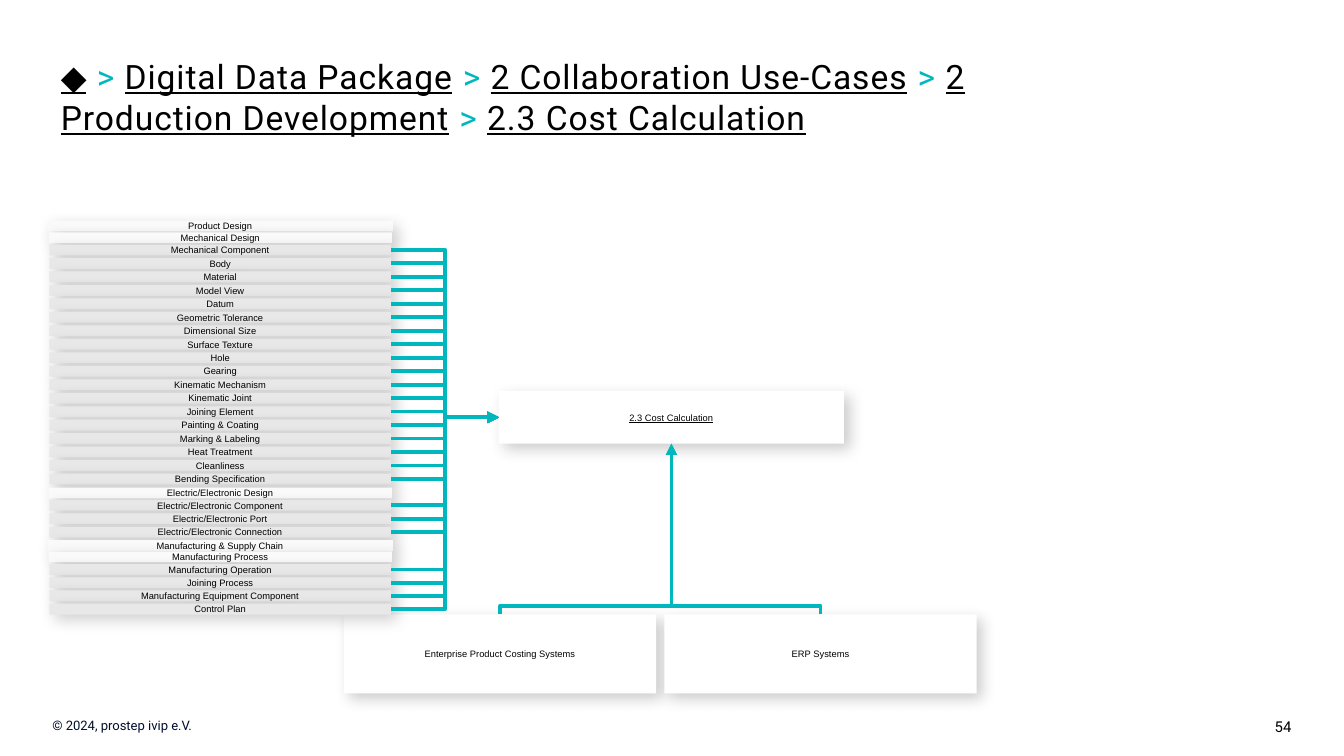
from dataclasses import dataclass

import pptx
import pptx.dml.color
import pptx.enum.shapes
import pptx.enum.text
import pptx.oxml
import pptx.oxml.ns
import pptx.util
from lxml import etree

Pt = pptx.util.Pt
RGBColor = pptx.dml.color.RGBColor
ALIGN = pptx.enum.text.PP_ALIGN
ANCHOR = pptx.enum.text.MSO_ANCHOR
qn = pptx.oxml.ns.qn

BLACK = RGBColor(0x00, 0x00, 0x00)
NAVY = RGBColor(0x00, 0x0F, 0x2D)
TEAL = RGBColor(0x00, 0xB7, 0xBE)
WHITE = RGBColor(0xFF, 0xFF, 0xFF)
HEADING_GREY = RGBColor(0xFA, 0xFA, 0xFA)
COMPONENT_GREY = RGBColor(0xE8, 0xE8, 0xE8)

LIST_CENTER = 118
ROW_HEIGHT = 5.8
DOMAIN_WIDTH, SECTION_WIDTH, COMPONENT_WIDTH = 185, 184, 183


@dataclass
class Box:
    text: str
    left: float
    top: float
    width: float
    height: float
    fill: RGBColor = WHITE
    anchor: ANCHOR = ANCHOR.MIDDLE
    underline: bool = False

    @property
    def center(self) -> float:
        return self.left + self.width / 2


@dataclass
class Heading:
    text: str
    top: float
    width: float


@dataclass
class Group:
    headings: list[Heading]
    components: list[str]
    top: float
    pitch: float = 7.22


GROUPS = [
    Group([Heading("Product Design", 118.2, DOMAIN_WIDTH),
           Heading("Mechanical Design", 124.5, SECTION_WIDTH)],
          ["Mechanical Component", "Body", "Material", "Model View", "Datum",
           "Geometric Tolerance", "Dimensional Size", "Surface Texture", "Hole",
           "Gearing", "Kinematic Mechanism", "Kinematic Joint", "Joining Element",
           "Painting & Coating", "Marking & Labeling", "Heat Treatment",
           "Cleanliness", "Bending Specification"], 131),
    Group([Heading("Electric/Electronic Design", 261.2, SECTION_WIDTH)],
          ["Electric/Electronic Component", "Electric/Electronic Port",
           "Electric/Electronic Connection"], 267.8),
    Group([Heading("Manufacturing & Supply Chain", 289.4, DOMAIN_WIDTH),
           Heading("Manufacturing Process", 295.4, SECTION_WIDTH)],
          ["Manufacturing Operation", "Joining Process",
           "Manufacturing Equipment Component", "Control Plan"], 302.2, 7.08),
]

USE_CASE = Box("2.3 Cost Calculation", 267.2, 209.5, 185, 28.2, underline=True)
SYSTEMS = [
    Box(text, 184.4 + 171.6 * index, 329.2, 167.2, 42.3)
    for index, text in enumerate(["Enterprise Product Costing Systems", "ERP Systems"])
]
BREADCRUMB = ["◆", "Digital Data Package", "2 Collaboration Use-Cases",
              "2 Production Development", "2.3 Cost Calculation"]


def add_text(paragraph, text: str, *, size: float, font: str = "Arial",
             color: RGBColor = BLACK, underline: bool = False,
             align: ALIGN = ALIGN.LEFT, spacing: int = 0) -> None:
    paragraph.alignment = align
    run = paragraph.add_run()
    run.text = text
    run.font.size = Pt(size)
    run.font.name = font
    run.font.color.rgb = color
    run.font.underline = underline
    if spacing:
        run.font._element.set("spc", str(spacing))


def set_margins(frame, left: float, top: float, right: float, bottom: float) -> None:
    frame.margin_left, frame.margin_top = Pt(left), Pt(top)
    frame.margin_right, frame.margin_bottom = Pt(right), Pt(bottom)


def add_shadow(shape) -> None:
    shape.shadow.inherit = False
    effects = shape._element.spPr.find(qn("a:effectLst"))
    shadow = etree.SubElement(
        effects, qn("a:outerShdw"), blurRad=str(Pt(8)), dist=str(Pt(4)),
        dir="2700000", algn="tl", rotWithShape="0")
    color = etree.SubElement(shadow, qn("a:srgbClr"), val="000000")
    etree.SubElement(color, qn("a:alpha"), val="20000")


def add_box(slide, box: Box):
    shape = slide.shapes.add_shape(
        pptx.enum.shapes.MSO_SHAPE.RECTANGLE,
        Pt(box.left), Pt(box.top), Pt(box.width), Pt(box.height))
    shape.fill.solid()
    shape.fill.fore_color.rgb = box.fill
    shape.line.fill.background()
    add_shadow(shape)
    frame = shape.text_frame
    frame.word_wrap = True
    frame.vertical_anchor = box.anchor
    set_margins(frame, 0, 0, 0, 0)
    add_text(frame.paragraphs[0], box.text, size=5, underline=box.underline,
             align=ALIGN.CENTER)
    return shape


def add_elbow(slide, start: tuple[float, float], end: tuple[float, float], bend: int):
    arrow = slide.shapes.add_connector(
        pptx.enum.shapes.MSO_CONNECTOR.ELBOW, *map(Pt, (*start, *end)))
    arrow.line.color.rgb = TEAL
    arrow.line.width = Pt(2)
    properties = arrow._element.spPr
    etree.SubElement(arrow.line._get_or_add_ln(), qn("a:tailEnd"), type="triangle")
    etree.SubElement(properties, qn("a:effectLst"))
    guides = properties.find(qn("a:prstGeom")).find(qn("a:avLst"))
    etree.SubElement(guides, qn("a:gd"), name="adj1", fmla=f"val {bend}")
    return arrow


def add_input_arrow(slide, component: Box, component_shape, use_case_shape) -> None:
    arrow = add_elbow(
        slide, (component.left + component.width, component.top + component.height / 2),
        (USE_CASE.left, USE_CASE.top + USE_CASE.height / 2), 50400)
    arrow.begin_connect(component_shape, 3)
    arrow.end_connect(use_case_shape, 1)


def add_rising_arrow(slide, system: Box) -> None:
    bottom = USE_CASE.top + USE_CASE.height
    rise = system.top - bottom
    offset = system.center - USE_CASE.center
    middle_x = (system.center + USE_CASE.center) / 2
    middle_y = (system.top + bottom) / 2
    arrow = add_elbow(slide, (middle_x - rise / 2, middle_y + offset / 2),
                      (middle_x + rise / 2, middle_y - offset / 2), 5000)
    arrow._element.spPr.find(qn("a:xfrm")).set("rot", str(270 * 60000))


def add_group(slide, group: Group, use_case_shape) -> None:
    for heading in group.headings:
        add_box(slide, Box(heading.text, LIST_CENTER - heading.width / 2, heading.top,
                           heading.width, ROW_HEIGHT, HEADING_GREY, ANCHOR.TOP))
    for index, text in enumerate(group.components):
        component = Box(text, LIST_CENTER - COMPONENT_WIDTH / 2,
                        group.top + index * group.pitch,
                        COMPONENT_WIDTH, ROW_HEIGHT, COMPONENT_GREY)
        component_shape = add_box(slide, component)
        add_input_arrow(slide, component, component_shape, use_case_shape)


def add_footer(slide, text: str, left: float, width: float, height: float,
               margins: tuple[float, float], **text_format) -> None:
    footer = slide.shapes.add_textbox(Pt(left), Pt(380.9), Pt(width), Pt(height))
    footer.text_frame.word_wrap = True
    set_margins(footer.text_frame, margins[0], 3.6, margins[1], 3.6)
    add_text(footer.text_frame.paragraphs[0], text, font="Roboto", **text_format)


def add_title(slide) -> None:
    title = slide.shapes.title
    title.left, title.top, title.width, title.height = map(Pt, (25.4, 26.6, 539.3, 49))
    frame = title.text_frame
    frame.word_wrap = True
    frame.auto_size = pptx.enum.text.MSO_AUTO_SIZE.NONE
    frame.vertical_anchor = ANCHOR.TOP
    set_margins(frame, 7.2, 3.6, 7.2, 3.6)
    crumb_format = dict(size=18, font="Roboto", spacing=50)
    for index, crumb in enumerate(BREADCRUMB):
        if index:
            add_text(frame.paragraphs[0], " > ", color=TEAL, **crumb_format)
        add_text(frame.paragraphs[0], crumb, underline=True, **crumb_format)


def main() -> None:
    presentation = pptx.Presentation()
    presentation.slide_width, presentation.slide_height = Pt(720), Pt(405)
    slide = presentation.slides.add_slide(presentation.slide_layouts[5])
    add_title(slide)
    add_footer(slide, "54", 654.5, 65.5, 17.3, (7.2, 28.1), size=8, align=ALIGN.RIGHT)
    add_footer(slide, "© 2024, prostep ivip e.V.", 0, 172.8, 15.8, (28.1, 7.2),
               size=7, color=NAVY)
    use_case_shape = add_box(slide, USE_CASE)
    for system in SYSTEMS:
        add_box(slide, system)
        add_rising_arrow(slide, system)
    for group in GROUPS:
        add_group(slide, group, use_case_shape)
    presentation.save("out.pptx")


if __name__ == "__main__":
    main()
